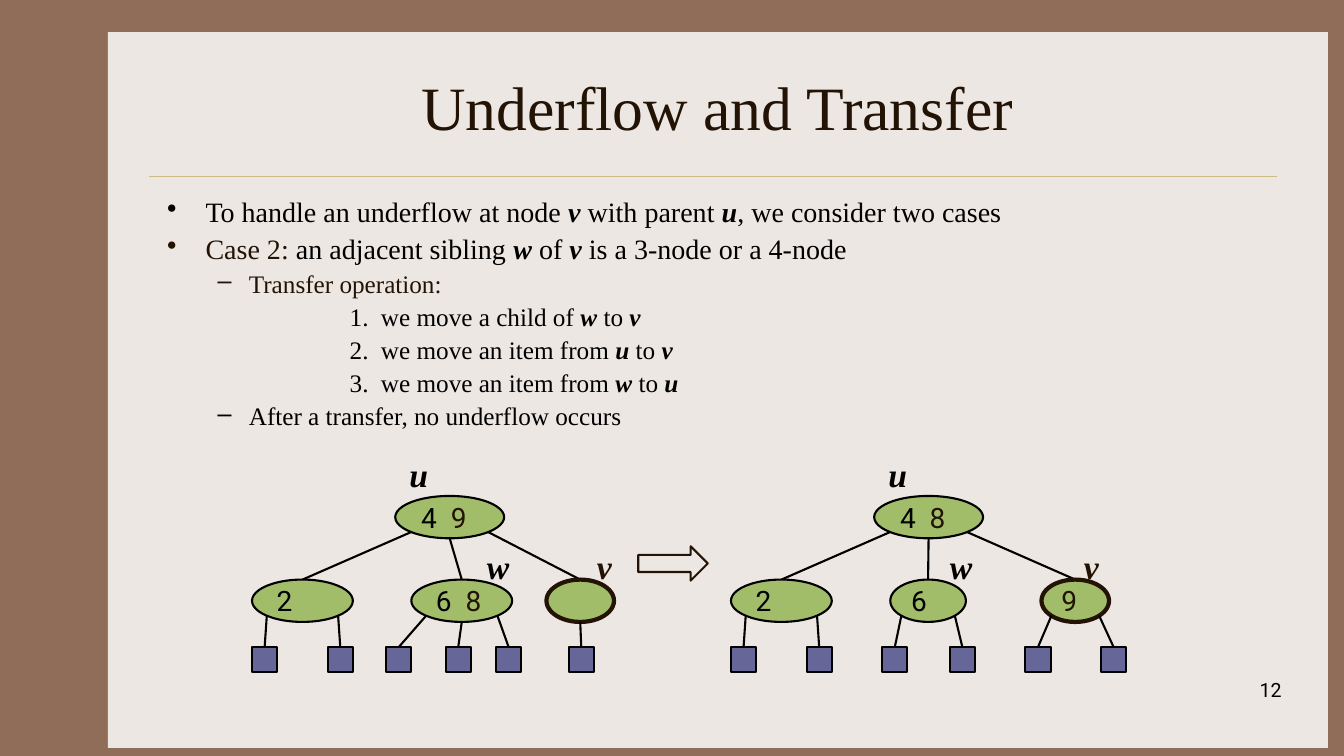
"""Build the slide that explains underflow and transfer in a (2,4) tree."""
from dataclasses import dataclass
from math import sqrt

from lxml import etree
from pptx import Presentation
from pptx import util as u
from pptx.dml.color import RGBColor
from pptx.enum import shapes, text
from pptx.oxml import ns


@dataclass(frozen=True)
class Theme:
    """Colours, fonts and type sizes of the slide."""
    back: str = "906D58"
    panel: str = "EDE7E3"
    rule: str = "CBBD83"
    ink: str = "000000"
    accent: str = "221304"
    node: str = "A1BD69"
    leaf: str = "666699"
    serif: str = "Times New Roman"
    sans: str = "Roboto"
    title: int = 44
    body: int = 20
    sub: int = 18
    label: int = 24
    number: int = 14


@dataclass(frozen=True)
class Level:
    """Indents, bullet, type size and spacing of a list level."""
    margin: float
    hang: float
    tag: str
    bullet: dict
    size: int
    before: float


@dataclass(frozen=True)
class Child:
    """A child node, placed from the left edge of its tree."""
    x: float
    width: float
    keys: tuple
    leaves: tuple
    label: str = ""
    label_x: float = 0
    under: bool = False


T = Theme()
POINT = Level(0.38, 0.38, "a:buChar", {"char": "•"}, T.body, 5)
DASH = Level(0.81, 0.31, "a:buChar", {"char": "–"}, T.sub, 4.2)
STEP = Level(2.12, 0.31, "a:buAutoNum", {"type": "arabicPeriod"}, T.sub, 4.2)

BODY = [
    (POINT, "", "To handle an underflow at node *v* with parent *u*, we consider two cases"),
    (POINT, "Case 2:", " an adjacent sibling *w* of *v* is a 3-node or a 4-node"),
    (DASH, "Transfer operation:", ""),
    (STEP, "", "we move a child of *w* to *v*"),
    (STEP, "", "we move an item from *u* to *v*"),
    (STEP, "", "we move an item from *w* to *u*"),
    (DASH, "", "After a transfer, no underflow occurs"),
]

BEFORE = [
    Child(0, 1, ("2", ""), (0, 0.75)),
    Child(1.58, 1, ("6  ", "8"), (1.33, 1.92, 2.42), "w", 2.33),
    Child(2.92, 0.67, ("", ""), (3.14,), "v", 3.42, True),
]
AFTER = [
    Child(0, 1, ("2", ""), (0, 0.75)),
    Child(1.58, 0.75, ("6", ""), (1.5, 2.17), "w", 2.17),
    Child(3.08, 0.67, ("", "9"), (2.92, 3.67), "v", 3.5, True),
]

ROOT_X, ROOT_Y, ROOT_W = 1.42, 4.92, 1.08
CHILD_Y, LEAF_Y = 5.75, 6.42
NODE_H, LEAF_SIDE = 0.42, 0.25


def rgb(value):
    """Return a colour from its hex value."""
    return RGBColor.from_string(value)


def set_font(font, name, size, color, strong=False):
    """Set typeface, size, colour and bold italic on a font."""
    font.name, font.size = name, u.Pt(size)
    font.color.rgb = rgb(color)
    if strong:
        font.bold = font.italic = True


def add_text(s, box, words, name, size, color, align=text.PP_ALIGN.LEFT,
             anchor=text.MSO_ANCHOR.TOP):
    """Add a text box with one paragraph."""
    tf = s.shapes.add_textbox(*map(u.Inches, box)).text_frame
    tf.word_wrap, tf.vertical_anchor = True, anchor
    p = tf.paragraphs[0]
    p.text, p.alignment = words, align
    set_font(p.font, name, size, color)
    return tf


def add_label(s, x, y, words, color):
    """Add the bold italic name of a node."""
    tf = add_text(s, (x, y, 0.22, 0.4), words, T.serif, T.label, color)
    tf.word_wrap = False
    tf.margin_left = tf.margin_right = tf.margin_top = tf.margin_bottom = 0
    tf.paragraphs[0].font.bold = tf.paragraphs[0].font.italic = True


def add_shape(s, kind, box, fill=None, line=None, width=1.5):
    """Add a preset shape without a shadow."""
    sp = s.shapes.add_shape(kind, *map(u.Inches, box))
    sp.shadow.inherit = False
    if fill:
        sp.fill.solid()
        sp.fill.fore_color.rgb = rgb(fill)
    else:
        sp.fill.background()
    if line:
        sp.line.color.rgb, sp.line.width = rgb(line), u.Pt(width)
    else:
        sp.line.fill.background()
    return sp


def add_line(s, start, end, color=T.ink, width=1.5):
    """Add a straight connector without a shadow."""
    line = s.shapes.add_connector(shapes.MSO_CONNECTOR.STRAIGHT,
                                  *map(u.Inches, (*start, *end)))
    line.line.color.rgb, line.line.width = rgb(color), u.Pt(width)
    etree.SubElement(line._element.spPr, ns.qn("a:effectLst"))


def add_body(s, box, items):
    """Add the list, with names between asterisks in bold italic."""
    tf = s.shapes.add_textbox(*map(u.Inches, box)).text_frame
    tf.word_wrap = True
    for i, (level, lead, words) in enumerate(items):
        p = tf.add_paragraph() if i else tf.paragraphs[0]
        p.line_spacing = 0.9
        p.space_before = u.Pt(level.before if i else 0)
        props = p._p.get_or_add_pPr()
        props.set("marL", str(u.Inches(level.margin)))
        props.set("indent", str(-u.Inches(level.hang)))
        etree.SubElement(props, ns.qn(level.tag), level.bullet)
        set_font(p.font, T.serif, level.size, T.ink)
        parts = [(lead, T.accent, False)]
        parts += [(part, T.ink, k % 2 == 1) for k, part in enumerate(words.split("*"))]
        for part, color, strong in parts:
            if part:
                r = p.add_run()
                r.text = part
                set_font(r.font, T.serif, level.size, color, strong)


def add_node(s, x, y, width, keys, under=False):
    """Add an oval node with a plain key and an accented key."""
    sp = add_shape(s, shapes.MSO_SHAPE.OVAL, (x, y, width, NODE_H), T.node,
                   T.accent if under else T.ink, 3 if under else 1.5)
    tf = sp.text_frame
    tf.word_wrap, tf.vertical_anchor = False, text.MSO_ANCHOR.MIDDLE
    p = tf.paragraphs[0]
    p.alignment = text.PP_ALIGN.LEFT
    for key, color in zip(keys, (T.ink, T.accent)):
        if key:
            r = p.add_run()
            r.text = key
            set_font(r.font, T.sans, T.body, color)


def exits(x, y, width, count):
    """Return the points on an oval where its branches leave."""
    sides = {1: (0,), 2: (-1, 1), 3: (-1, 0, 1)}[count]
    return [(x + width / 2 * (1 + side / sqrt(2)),
             y + NODE_H / 2 * (1 + (1 / sqrt(2) if side else 1))) for side in sides]


def add_tree(s, left, root_keys, children):
    """Add a root with its children, leaves, branches and names."""
    root = (left + ROOT_X, ROOT_Y, ROOT_W)
    add_node(s, *root, root_keys)
    add_label(s, left + 1.56, 4.5, "u", T.ink)
    for child, start in zip(children, exits(*root, len(children))):
        node = (left + child.x, CHILD_Y, child.width)
        add_line(s, start, (node[0] + child.width / 2, CHILD_Y))
        add_node(s, *node, child.keys, child.under)
        for leaf, stem in zip(child.leaves, exits(*node, len(child.leaves))):
            x = left + leaf
            add_line(s, stem, (x + LEAF_SIDE / 2, LEAF_Y))
            add_shape(s, shapes.MSO_SHAPE.RECTANGLE,
                      (x, LEAF_Y, LEAF_SIDE, LEAF_SIDE), T.leaf, T.ink)
        if child.label:
            add_label(s, left + child.label_x, 5.42, child.label,
                      T.accent if child.under else T.ink)


def main():
    """Build and save the slide."""
    prs = Presentation()
    prs.slide_width, prs.slide_height = u.Inches(13.33), u.Inches(7.5)
    s = prs.slides.add_slide(prs.slide_layouts[6])
    s.background.fill.solid()
    s.background.fill.fore_color.rgb = rgb(T.back)
    add_shape(s, shapes.MSO_SHAPE.RECTANGLE, (1.07, 0.32, 12.1, 7.1), T.panel)
    add_line(s, (1.48, 1.75), (12.67, 1.75), T.rule, 0.25)
    add_text(s, (1.56, 0.42, 11.11, 1.25), "Underflow and Transfer", T.serif, T.title,
             T.accent, text.PP_ALIGN.CENTER, text.MSO_ANCHOR.MIDDLE)
    add_body(s, (1.56, 1.92, 11.11, 2.5), BODY)
    add_text(s, (10.03, 6.68, 2.78, 0.5), "12", T.sans, T.number, T.ink,
             text.PP_ALIGN.RIGHT)
    add_tree(s, 2.5, ("4  ", "9"), BEFORE)
    add_shape(s, shapes.MSO_SHAPE.RIGHT_ARROW, (6.33, 5.42, 0.69, 0.34), line=T.accent)
    add_tree(s, 7.25, ("4  ", "8"), AFTER)
    prs.save("out.pptx")


if __name__ == "__main__":
    main()
